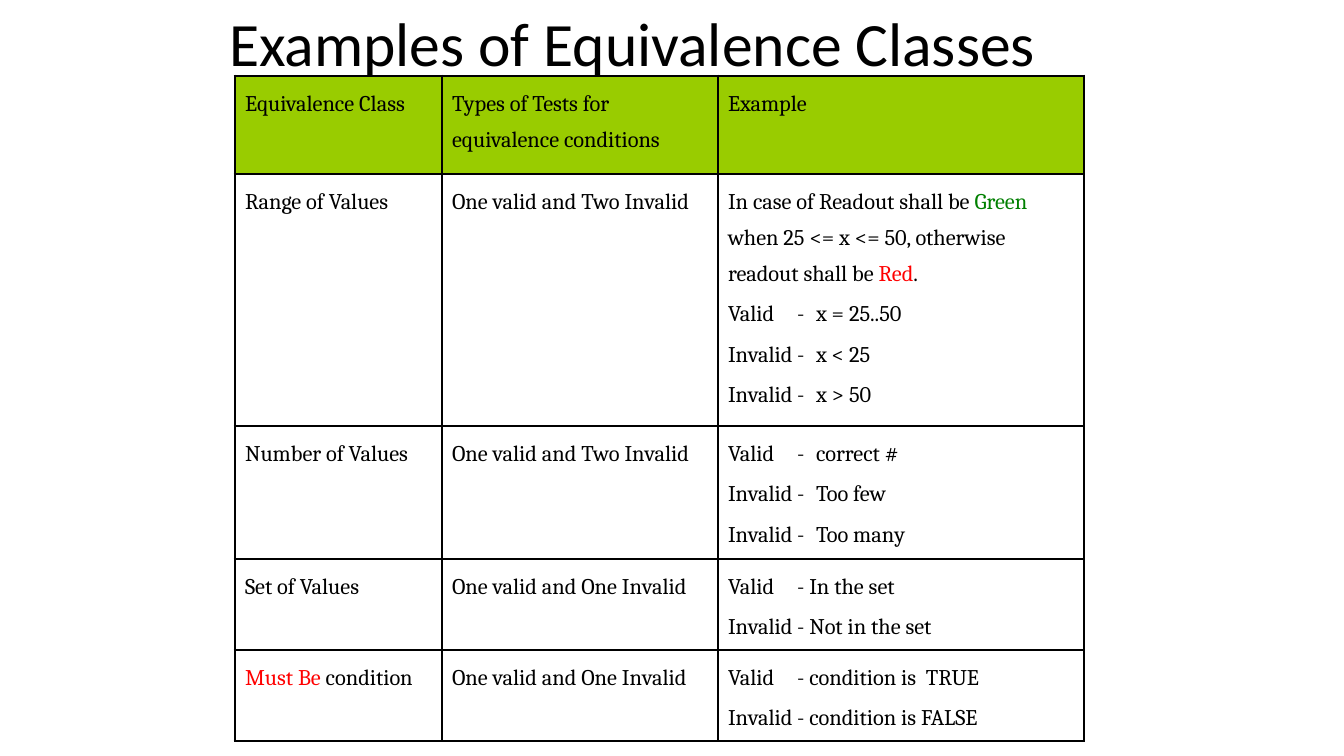
import pptx
import pptx.dml.color
import pptx.enum.text
import pptx.oxml
import pptx.oxml.ns
import pptx.util

EMU_PER_PX = 914400 / 100.8
BLACK = pptx.dml.color.RGBColor(0x00, 0x00, 0x00)
LIME = pptx.dml.color.RGBColor(0x99, 0xCC, 0x00)
GREEN = pptx.dml.color.RGBColor(0x00, 0x80, 0x00)
RED = pptx.dml.color.RGBColor(0xFF, 0x00, 0x00)

COLUMN_WIDTHS = [207, 276, 366]
ROW_HEIGHTS = [98, 252, 133, 91, 91]
TAB_STOPS = [69, 88]

# A cell is a list of paragraphs; a paragraph is a list of (text, colour) spans.
ONE_AND_TWO = [[("One valid and Two Invalid", BLACK)]]
ONE_AND_ONE = [[("One valid and One Invalid", BLACK)]]


def plain(*lines):
    return [[(line, BLACK)] for line in lines]


READOUT = [
    ("In case of Readout shall be ", BLACK),
    ("Green", GREEN),
    (" when 25 <= x <= 50, otherwise readout shall be ", BLACK),
    ("Red", RED),
    (".", BLACK),
]
ROWS = [
    [plain("Equivalence Class"),
     plain("Types of Tests for equivalence conditions"),
     plain("Example")],
    [plain("Range of Values"), ONE_AND_TWO,
     [READOUT] + plain("Valid\t-\tx = 25..50", "Invalid\t-\tx < 25", "Invalid\t-\tx > 50")],
    [plain("Number of Values"), ONE_AND_TWO,
     plain("Valid\t-\tcorrect #", "Invalid\t-\tToo few", "Invalid\t-\tToo many")],
    [plain("Set of Values"), ONE_AND_ONE,
     plain("Valid\t- In the set", "Invalid\t- Not in the set")],
    [[[("Must Be", RED), (" condition", BLACK)]], ONE_AND_ONE,
     plain("Valid\t- condition is  TRUE", "Invalid\t- condition is FALSE")],
]


def px(length):
    return pptx.util.Emu(round(length * EMU_PER_PX))


def add_span(para, text, *, font, size, color):
    span = para.add_run()
    span.text = text
    span.font.name = font
    span.font.size = pptx.util.Pt(size)
    span.font.color.rgb = color


def set_tab_stops(para, stops):
    tabs = "".join(f'<a:tab pos="{px(stop)}" algn="l"/>' for stop in stops)
    namespace = pptx.oxml.ns.nsdecls("a")
    para._p.get_or_add_pPr().append(
        pptx.oxml.parse_xml(f"<a:tabLst {namespace}>{tabs}</a:tabLst>"))


def set_borders(cell, widths):
    """Draw the left, right, top and bottom edges, with widths in points."""
    namespace = pptx.oxml.ns.nsdecls("a")
    properties = cell._tc.get_or_add_tcPr()
    for index, (side, width) in enumerate(zip("LRTB", widths)):
        properties.insert(index, pptx.oxml.parse_xml(
            f'<a:ln{side} {namespace} w="{pptx.util.Pt(width)}"><a:solidFill>'
            f'<a:srgbClr val="{BLACK}"/></a:solidFill></a:ln{side}>'))


class SlideBuilder:
    title_font = "Calibri"
    table_font = "Cambria"
    outer_line = 2.25
    inner_line = 1

    def __init__(self, deck):
        self.page = deck.slides.add_slide(deck.slide_layouts[5])

    def title(self, text, left, top, width, height):
        box = self.page.shapes.title
        box.left, box.top, box.width, box.height = map(px, (left, top, width, height))
        frame = box.text_frame
        frame.auto_size = pptx.enum.text.MSO_AUTO_SIZE.NONE
        frame.vertical_anchor = pptx.enum.text.MSO_ANCHOR.MIDDLE
        para = frame.paragraphs[0]
        para.alignment = pptx.enum.text.PP_ALIGN.LEFT
        para.line_spacing = 0.9
        add_span(para, text, font=self.title_font, size=44, color=BLACK)

    def table(self, rows, left, top, widths, heights):
        table = self.page.shapes.add_table(
            len(rows), len(widths), px(left), px(top),
            px(sum(widths)), px(sum(heights))).table
        table.first_row = table.horz_banding = False
        for column, width in zip(table.columns, widths):
            column.width = px(width)
        for row, height in zip(table.rows, heights):
            row.height = px(height)
        for r, row in enumerate(rows):
            for c, paragraphs in enumerate(row):
                cell = table.cell(r, c)
                self.fill_cell(cell, paragraphs)
                if r == 0:
                    cell.fill.solid()
                    cell.fill.fore_color.rgb = LIME
                else:
                    cell.fill.background()
                on_edge = (c == 0, c == len(widths) - 1, r == 0, r == len(rows) - 1)
                set_borders(cell, [self.outer_line if edge else self.inner_line
                                   for edge in on_edge])

    def fill_cell(self, cell, paragraphs):
        frame = cell.text_frame
        for index, spans in enumerate(paragraphs):
            para = frame.add_paragraph() if index else frame.paragraphs[0]
            para.line_spacing = 1.4
            para.space_before = pptx.util.Pt(3.2)
            if any("\t" in text for text, _ in spans):
                set_tab_stops(para, TAB_STOPS)
            for text, color in spans:
                add_span(para, text, font=self.table_font, size=16, color=color)


def main():
    deck = pptx.Presentation()
    deck.slide_width, deck.slide_height = px(1344), px(756)
    builder = SlideBuilder(deck)
    builder.title("Examples of Equivalence Classes", 219, 0, 865, 93)
    builder.table(ROWS, 235, 76, COLUMN_WIDTHS, ROW_HEIGHTS)
    deck.save("out.pptx")


if __name__ == "__main__":
    main()
